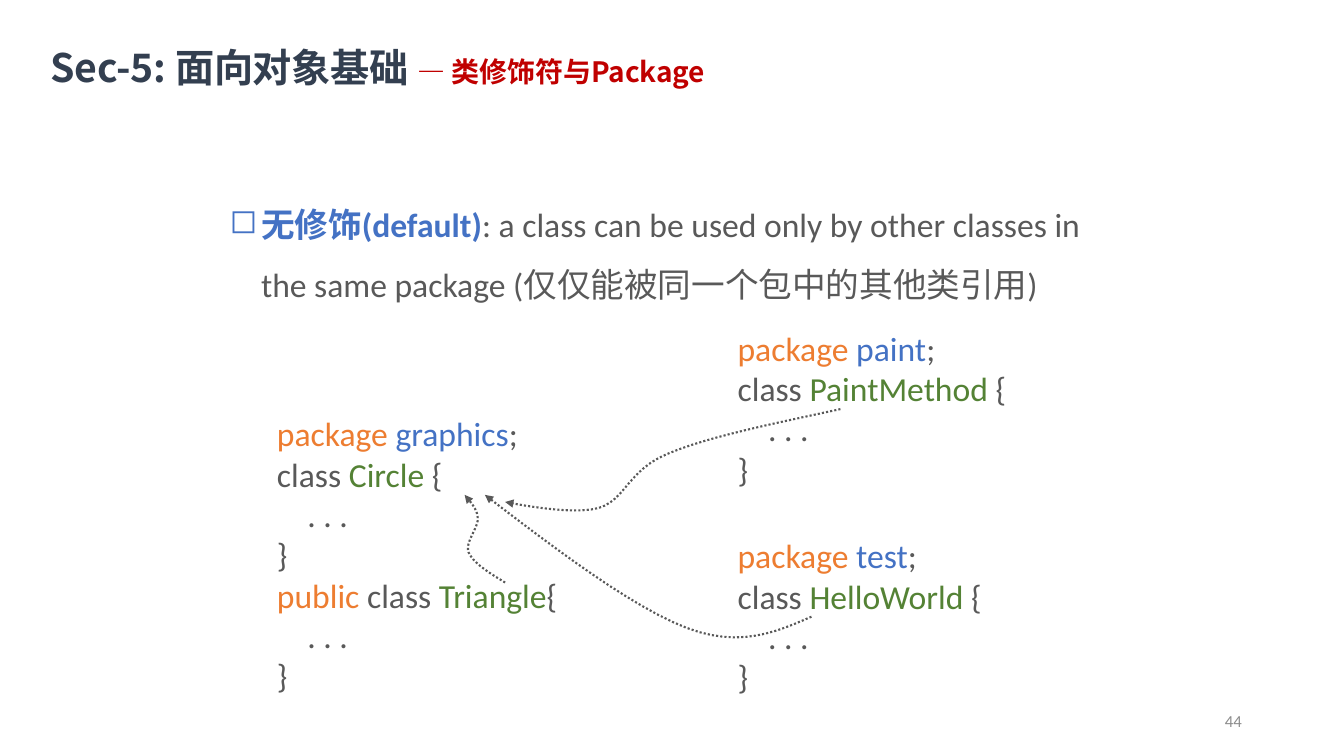
from lxml.etree import SubElement
from pptx import Presentation
from pptx.dml.color import RGBColor
from pptx.enum.dml import MSO_LINE
from pptx.enum.text import MSO_ANCHOR, MSO_AUTO_SIZE, PP_ALIGN
from pptx.oxml.ns import qn
from pptx.util import Cm, Pt

NAVY = RGBColor(0x33, 0x3F, 0x50)
RED = RGBColor(0xC0, 0x00, 0x00)
BLUE = RGBColor(0x44, 0x72, 0xC4)
ORANGE = RGBColor(0xED, 0x7D, 0x31)
GREEN = RGBColor(0x54, 0x82, 0x35)
GRAY = RGBColor(0x59, 0x59, 0x59)
LIGHT_GRAY = RGBColor(0x8C, 0x8C, 0x8C)
LATIN_FONT, CJK_FONT = "Calibri", "Noto Sans CJK SC"

# Runs are (text, colour); boxes are (left, top, width, height) in cm
TITLE_BOX = (1.27, 1.07, 18.67, 1.22)
TITLE = [("Sec-5: 面向对象基础 ", NAVY, 28), ("— 类修饰符与Package", RED, 20)]

RULE_BOX = (5.54, 4.5, 22.61, 3.18)
RULE_TERM = "无修饰(default)"
RULE_TEXT = (": a class can be used only by other classes in the same package "
             "(仅仅能被同一个包中的其他类引用)")

NUMBER_BOX = (23.93, 17.65, 7.62, 1.02)
SLIDE_NUMBER = "44"

CLASS_BODY = [[("    . . .", GRAY)], [("}", GRAY)]]


def package_line(package):
    return [("package ", ORANGE), (package, BLUE), (";", GRAY)]


def class_lines(name):
    return [[("class ", GRAY), (name, GREEN), (" {", GRAY)], *CLASS_BODY]


TRIANGLE_LINE = [("public", ORANGE), (" class ", GRAY), ("Triangle", GREEN), ("{", GRAY)]
LISTINGS = [
    ((6.73, 10.29, 9.8, 7.44),
     [package_line("graphics"), *class_lines("Circle"), TRIANGLE_LINE, *CLASS_BODY]),
    ((18.34, 8.13, 9.8, 4.37), [package_line("paint"), *class_lines("PaintMethod")]),
    ((18.34, 13.36, 9.8, 4.37), [package_line("test"), *class_lines("HelloWorld")]),
]

# Each reference to Circle: a start point, then two controls and an end per curve
REFERENCES = {
    "Triangle": [(12.73, 14.68), (12.32, 14.43), (11.94, 14.2), (11.81, 13.92),
                 (11.71, 13.67), (12.07, 13.28), (12.04, 13.06),
                 (12.04, 12.8), (11.76, 12.55), (11.71, 12.47)],
    "HelloWorld": [(20.45, 15.54), (19.56, 15.93), (18.64, 16.33), (17.3, 15.82),
                   (15.93, 15.29), (14.07, 13.89), (12.22, 12.47)],
    "PaintMethod": [(21.18, 10.31), (19.53, 10.67), (17.86, 11), (16.84, 11.43),
                    (15.82, 11.84), (15.77, 12.6), (15.09, 12.8),
                    (14.4, 13), (12.85, 12.67), (12.73, 12.65)],
}
CURVE_STEPS = 12


def add_run(paragraph, text, color, size=24, bold=False, font=LATIN_FONT):
    run = paragraph.add_run()
    run.text = text
    run.font.size, run.font.bold, run.font.name = Pt(size), bold, font
    run.font.color.rgb = color
    SubElement(run._r.get_or_add_rPr(), qn("a:ea"), typeface=CJK_FONT)
    return run


def add_text_frame(slide, box):
    frame = slide.shapes.add_textbox(*map(Cm, box)).text_frame
    frame.word_wrap = True
    return frame


def add_title(slide):
    title = slide.shapes.title
    title.left, title.top, title.width, title.height = map(Cm, TITLE_BOX)
    frame = title.text_frame
    frame.auto_size = MSO_AUTO_SIZE.NONE
    frame.vertical_anchor = MSO_ANCHOR.TOP
    frame.margin_left = frame.margin_right = frame.margin_bottom = 0
    frame.margin_top = Cm(0.03)
    paragraph = frame.paragraphs[0]
    paragraph.alignment = PP_ALIGN.LEFT
    for text, color, size in TITLE:
        run = add_run(paragraph, text, color, size, True, CJK_FONT)
        run._r.get_or_add_rPr().set("spc", "-10")


def add_rule(slide):
    paragraph = add_text_frame(slide, RULE_BOX).paragraphs[0]
    properties = paragraph._p.get_or_add_pPr()
    properties.set("marL", str(Cm(0.79)))
    properties.set("indent", str(-Cm(0.79)))
    SubElement(properties, qn("a:buChar"), char="◻")
    paragraph.line_spacing = 1.5
    add_run(paragraph, RULE_TERM, BLUE, bold=True)
    add_run(paragraph, RULE_TEXT, GRAY)


def add_listing(slide, box, lines):
    frame = add_text_frame(slide, box)
    for index, line in enumerate(lines):
        paragraph = frame.add_paragraph() if index else frame.paragraphs[0]
        for text, color in line:
            add_run(paragraph, text, color)


def curve_points(knots):
    """Sample a chain of cubic Bezier curves, without its start point."""
    points = []
    for first in range(0, len(knots) - 1, 3):
        for step in range(1, CURVE_STEPS + 1):
            t = step / CURVE_STEPS
            weights = ((1 - t) ** 3, 3 * t * (1 - t) ** 2, 3 * t ** 2 * (1 - t), t ** 3)
            curve = knots[first:first + 4]
            points.append(tuple(
                Cm(sum(weight * knot[axis] for weight, knot in zip(weights, curve)))
                for axis in (0, 1)))
    return points


def add_reference(slide, knots):
    builder = slide.shapes.build_freeform(*map(Cm, knots[0]))
    builder.add_line_segments(curve_points(knots), close=False)
    arrow = builder.convert_to_shape()
    arrow.shadow.inherit = False
    arrow.fill.background()
    arrow.line.color.rgb = GRAY
    arrow.line.width = Pt(1.5)
    arrow.line.dash_style = MSO_LINE.ROUND_DOT
    SubElement(arrow.line._get_or_add_ln(), qn("a:tailEnd"), type="triangle")


def add_slide_number(slide):
    frame = add_text_frame(slide, NUMBER_BOX)
    frame.vertical_anchor = MSO_ANCHOR.MIDDLE
    paragraph = frame.paragraphs[0]
    paragraph.alignment = PP_ALIGN.RIGHT
    add_run(paragraph, SLIDE_NUMBER, LIGHT_GRAY, 12)


def main():
    presentation = Presentation()
    presentation.slide_width, presentation.slide_height = Cm(33.87), Cm(19.05)
    slide = presentation.slides.add_slide(presentation.slide_layouts[5])
    add_title(slide)
    add_rule(slide)
    for box, lines in LISTINGS:
        add_listing(slide, box, lines)
    for knots in REFERENCES.values():
        add_reference(slide, knots)
    add_slide_number(slide)
    presentation.save("out.pptx")


if __name__ == "__main__":
    main()
